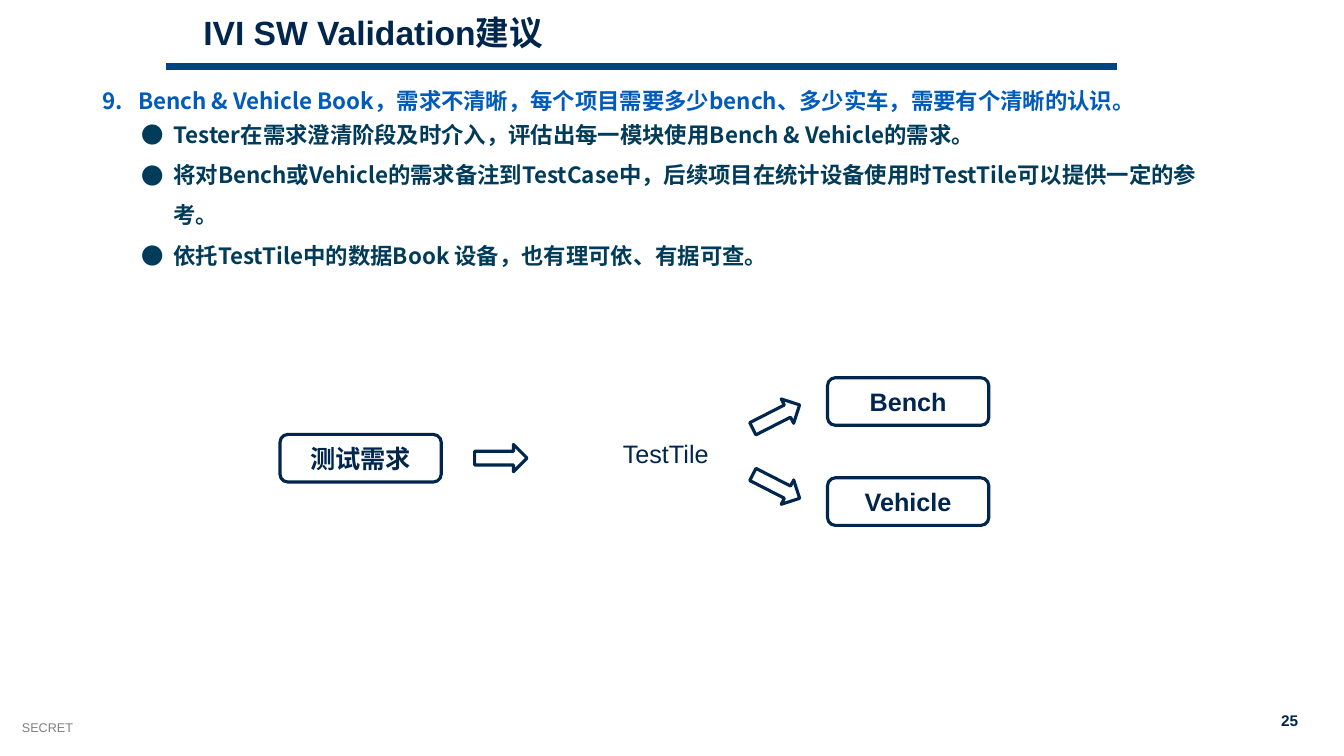
from lxml.etree import SubElement
from pptx import Presentation
from pptx.dml.color import RGBColor
from pptx.enum.shapes import MSO_CONNECTOR, MSO_SHAPE
from pptx.enum.text import MSO_ANCHOR, PP_ALIGN
from pptx.oxml.ns import qn
from pptx.util import Pt

NAVY, RULE, BLUE, TEAL, GREY = "00264E", "00457E", "005BBA", "013B5A", "808080"
LATIN, HAN = "Arial", "Noto Sans CJK SC"

HEAD = "Bench & Vehicle Book，需求不清晰，每个项目需要多少bench、多少实车，需要有个清晰的认识。"
POINTS = [
    "Tester在需求澄清阶段及时介入，评估出每一模块使用Bench & Vehicle的需求。",
    "将对Bench或Vehicle的需求备注到TestCase中，后续项目在统计设备使用时TestTile可以提供一定的参考。",
    "依托TestTile中的数据Book 设备，也有理可依、有据可查。",
]


def color(code):
    return RGBColor.from_string(code)


def style(para, size, code, bold=False, font=LATIN):
    for run in para.runs:
        run.font.size = Pt(size)
        run.font.bold = bold
        run.font.name = font
        run.font.color.rgb = color(code)
        SubElement(run.font._element, qn("a:ea"), typeface=HAN)


def add_text(slide, box, lines, size, code, bold=False, font=LATIN,
             wrap=True, anchor=MSO_ANCHOR.TOP):
    frame = slide.shapes.add_textbox(*map(Pt, box)).text_frame
    frame.word_wrap = wrap
    frame.vertical_anchor = anchor
    frame.text = "\n".join(lines)
    for para in frame.paragraphs:
        style(para, size, code, bold, font)
    return frame.paragraphs


def add_marks(paras, indent, tag, **attrs):
    """Give paragraphs a hanging indent and a bullet or number element."""
    for para in paras:
        para.line_spacing = 1.5
        props = para._p.get_or_add_pPr()
        props.set("marL", str(Pt(indent)))
        props.set("indent", str(-Pt(indent)))
        SubElement(props, qn("a:buFont"), typeface=HAN)
        SubElement(props, qn(tag), **attrs)


def add_outline(slide, kind, box):
    shape = slide.shapes.add_shape(kind, *map(Pt, box))
    shape.shadow.inherit = False
    shape.fill.background()
    shape.line.color.rgb = color(NAVY)
    shape.line.width = Pt(2.25)
    return shape


def add_node(slide, left, top, label):
    node = add_outline(slide, MSO_SHAPE.ROUNDED_RECTANGLE, (left, top, 115.2, 34))
    node.text_frame.text = label
    para = node.text_frame.paragraphs[0]
    para.alignment = PP_ALIGN.CENTER
    style(para, 18, NAVY, True)


def add_arrow(slide, left, top, angle=0):
    arrow = add_outline(slide, MSO_SHAPE.RIGHT_ARROW, (left, top, 37.5, 19.5))
    arrow.rotation = angle


def add_rule(slide, left, right, y):
    rule = slide.shapes.add_connector(
        MSO_CONNECTOR.STRAIGHT, Pt(left), Pt(y), Pt(right), Pt(y))
    rule.line.color.rgb = color(RULE)
    rule.line.width = Pt(4.5)
    SubElement(rule._element.spPr, qn("a:effectLst"))


def add_frame(slide):
    """Add the title, its rule and the footer."""
    add_text(slide, (8.6, 510.5, 216, 18), ["SECRET"], 9, GREY)
    page = add_text(slide, (906.5, 504.7, 28, 21), ["25"], 11, NAVY, True, wrap=False)
    page[0].alignment = PP_ALIGN.RIGHT
    add_rule(slide, 118.8, 797.8, 47.5)
    title = add_text(slide, (138.2, 8.6, 853, 45.4), ["IVI SW Validation建议"],
                     24, NAVY, True)
    title[0].line_spacing = 0.9


def add_body(slide):
    middle = MSO_ANCHOR.MIDDLE
    head = add_text(slide, (66.2, 54.7, 765, 25.2), [HEAD], 16, BLUE, True, HAN,
                    anchor=middle)
    add_marks(head, 25.4, "a:buAutoNum", type="arabicPeriod", startAt="9")
    points = add_text(slide, (94.3, 74.9, 772, 118.8), POINTS, 16, TEAL, True, HAN,
                      anchor=middle)
    add_marks(points, 22.5, "a:buChar", char="●")


def add_flow(slide):
    add_node(slide, 200, 310.3, "测试需求")
    add_arrow(slide, 339, 317.5)
    add_text(slide, (437.8, 309.6, 79.2, 29), ["TestTile"], 18, NAVY, wrap=False)
    for label, top, tip, angle in (("Bench", 269.8, 288, -27),
                                   ("Vehicle", 341.3, 337.7, 27)):
        add_arrow(slide, 535.7, tip, angle)
        add_node(slide, 591.1, top, label)


def main():
    deck = Presentation()
    deck.slide_width, deck.slide_height = Pt(960), Pt(540)
    slide = deck.slides.add_slide(deck.slide_layouts[6])
    add_frame(slide)
    add_body(slide)
    add_flow(slide)
    deck.save("out.pptx")


if __name__ == "__main__":
    main()
